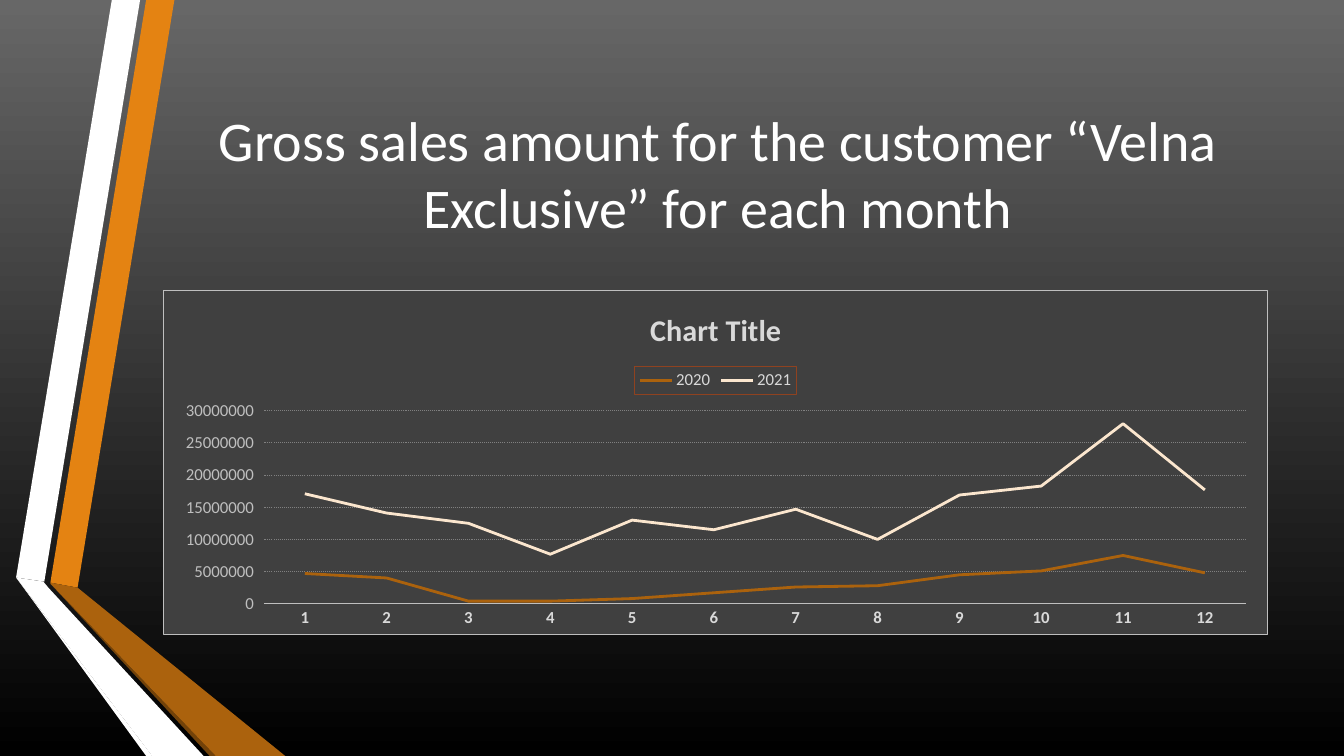
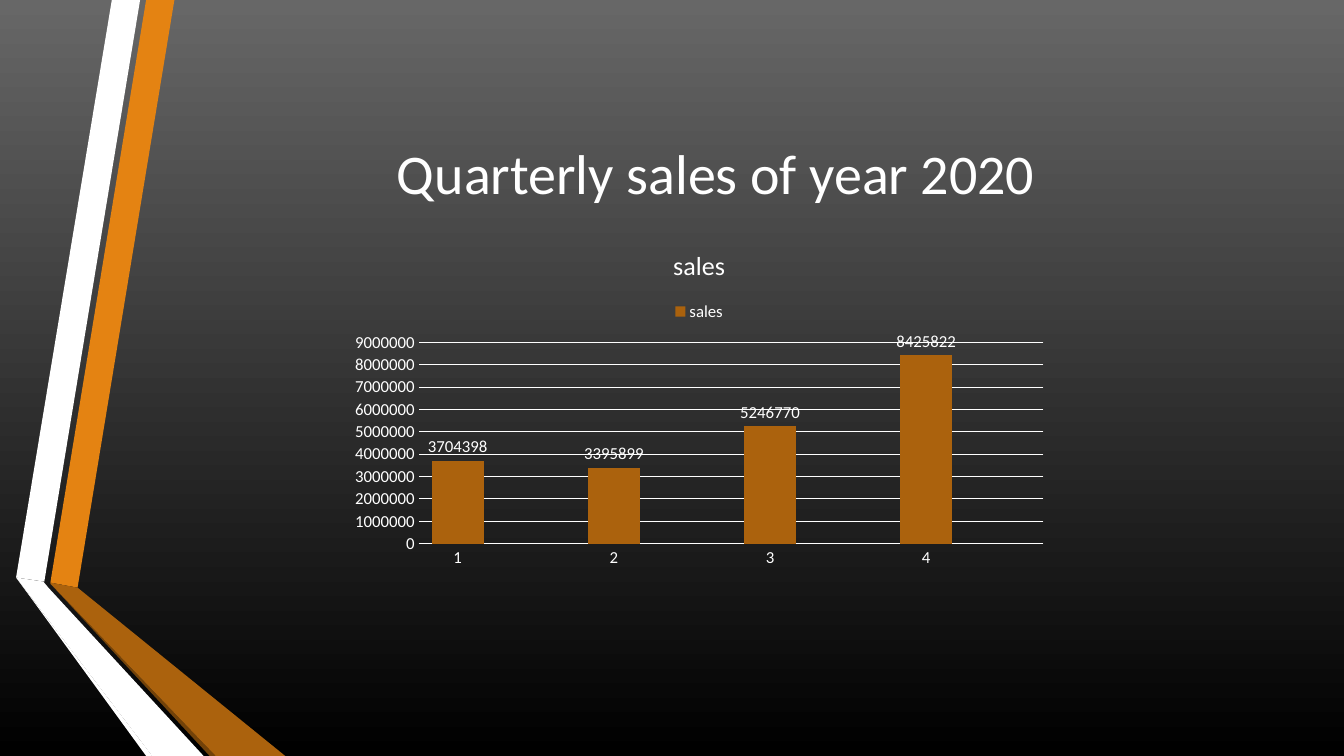
"""Build two sales slides with shared bands, titles and chart styling."""
import pptx
import pptx.chart.data
import pptx.dml.color
import pptx.enum.chart
import pptx.enum.dml
import pptx.enum.text
import pptx.oxml
import pptx.oxml.ns
import pptx.util

Inches, Pt = pptx.util.Inches, pptx.util.Pt
qn = pptx.oxml.ns.qn
KIND = pptx.enum.chart.XL_CHART_TYPE
TICK = pptx.enum.chart.XL_TICK_MARK
FACE = "Calibri"
HUES = {
    "top": "676767", "base": "000000", "white": "FFFFFF",
    "orange": "E48312", "rust": "AB620D", "dark": "724209",
    "cream": "FBE6CE", "panel": "404040", "edge": "BFBFBF",
    "pale": "D9D9D9", "grid": "808080", "brick": "8F4220",
}
BANDS = [
    ("orange", [(0.5, 5.78), (0.77, 5.83), (1.73, 0), (1.45, 0)]),
    ("white", [(1.39, 0), (1.11, 0), (0.16, 5.73), (0.44, 5.77)]),
    ("white", [(0.16, 5.73), (1.45, 7.5), (1.51, 7.5)]),
    ("dark", [(0.5, 5.79), (2.08, 7.5), (2.14, 7.5)]),
    ("rust", [(0.5, 5.79), (2.14, 7.5), (2.83, 7.5), (0.77, 5.83), (0.5, 5.78)]),
    ("white", [(2.02, 7.5), (0.48, 5.83), (0.43, 5.77), (0.16, 5.73), (1.51, 7.5)]),
]
SLIDES = [
    {
        "title": "Gross sales amount for the customer “Velna Exclusive” for each month",
        "left": 1.64, "kind": KIND.LINE_STACKED, "at": (1.62, 2.88, 10.96, 3.42),
        "cats": [str(month) for month in range(1, 13)],
        "rows": [
            ("2020", "rust", [4700000, 4000000, 400000, 400000, 800000, 1700000,
                              2600000, 2800000, 4500000, 5100000, 7500000, 4800000]),
            ("2021", "cream", [12400000, 10100000, 12100000, 7300000, 12200000, 9800000,
                               12100000, 7200000, 12400000, 13200000, 20500000, 12900000]),
        ],
        "head": ("Chart Title", 21.6, True, "pale"),
        "scale": (30000000, 5000000), "tick": TICK.OUTSIDE,
        "cat": ("pale", True, "edge"), "val": "edge", "key": "pale",
        "grid": ("grid", pptx.enum.dml.MSO_LINE.ROUND_DOT),
        "panel": ("panel", "edge"), "frame": (None, "brick"),
    },
    {
        "title": "Quarterly sales of year 2020",
        "left": 1.62, "kind": KIND.COLUMN_CLUSTERED, "at": (3.38, 2.28, 7.11, 3.42),
        "cats": ["1", "", "2", "", "3", "", "4", ""],
        "rows": [("sales", "rust", [3704398, None, 3395899, None,
                                    5246770, None, 8425822, None])],
        "head": ("sales", 18.6, False, "white"),
        "scale": (9000000, 1000000), "tick": TICK.NONE,
        "cat": ("white", False, "white"), "val": "white", "key": "white",
        "grid": ("white", pptx.enum.dml.MSO_LINE.SOLID),
        "panel": (None, None), "frame": (None, None),
    },
]


def tint(name):
    return pptx.dml.color.RGBColor.from_string(HUES[name])


def put(thing, **vals):
    for key, val in vals.items():
        setattr(thing, key, val)


def type_set(font, size, hue, bold=False):
    put(font, name=FACE, size=Pt(size), bold=bold)
    font.color.rgb = tint(hue)


def stroke(line, hue, width=0.75):
    line.color.rgb = tint(hue)
    line.width = Pt(width)


def box(node, fill, edge):
    def paint(name):
        if name is None:
            return "<a:noFill/>"
        return f'<a:solidFill><a:srgbClr val="{HUES[name]}"/></a:solidFill>'
    names = pptx.oxml.ns.nsdecls("c", "a")
    part = pptx.oxml.parse_xml(
        f'<c:spPr {names}>{paint(fill)}<a:ln w="9525">{paint(edge)}</a:ln></c:spPr>')
    node.find(qn("c:txPr")).addprevious(part)


def add_bands(slide, layout):
    for rank, (hue, points) in enumerate(BANDS):
        spots = [(Inches(x), Inches(y)) for x, y in points]
        pen = slide.shapes.build_freeform(*spots[0])
        pen.add_line_segments(spots[1:], close=True)
        band = pen.convert_to_shape()
        band.shadow.inherit = False
        band.fill.solid()
        band.fill.fore_color.rgb = tint(hue)
        band.line.fill.background()
        band.element.nvSpPr.cNvPr.set("id", str(20 + rank))
        layout.shapes.element.insert(2 + rank, band.element)


def add_title(slide, item):
    title = slide.shapes.title
    put(title, left=Inches(item["left"]), top=Inches(0.75),
        width=Inches(10.96), height=Inches(1.92))
    frame = title.text_frame
    put(frame, text=item["title"], word_wrap=True,
        auto_size=pptx.enum.text.MSO_AUTO_SIZE.NONE,
        vertical_anchor=pptx.enum.text.MSO_ANCHOR.MIDDLE)
    line = frame.paragraphs[0]
    line.alignment = pptx.enum.text.PP_ALIGN.CENTER
    type_set(line.runs[0].font, 40, "white")


def style_axes(chart, item):
    hue, bold, edge = item["cat"]
    cat, val = chart.category_axis, chart.value_axis
    cat.major_tick_mark = TICK.NONE
    type_set(cat.tick_labels.font, 12, hue, bold)
    stroke(cat.format.line, edge)
    peak, step = item["scale"]
    put(val, minimum_scale=0, maximum_scale=peak, major_unit=step,
        major_tick_mark=item["tick"], has_major_gridlines=True)
    type_set(val.tick_labels.font, 12, item["val"])
    val.format.line.fill.background()
    grid = val.major_gridlines.format.line
    hue, dash = item["grid"]
    stroke(grid, hue)
    grid.dash_style = dash


def style_rows(plot, item):
    plot.vary_by_categories = False
    bars = item["kind"] == KIND.COLUMN_CLUSTERED
    for row, (name, hue, vals) in zip(plot.series, item["rows"]):
        if bars:
            row.format.fill.solid()
            row.format.fill.fore_color.rgb = tint(hue)
        else:
            row.smooth = False
            row.marker.style = pptx.enum.chart.XL_MARKER_STYLE.NONE
            stroke(row.format.line, hue, 2)
    if bars:
        put(plot, gap_width=50, has_data_labels=True)
        marks = plot.data_labels
        put(marks, show_value=True,
            position=pptx.enum.chart.XL_LABEL_POSITION.OUTSIDE_END)
        type_set(marks.font, 12, "white")


def add_chart(slide, item):
    data = pptx.chart.data.CategoryChartData()
    data.categories = item["cats"]
    for name, hue, vals in item["rows"]:
        data.add_series(name, vals)
    spot = [Inches(side) for side in item["at"]]
    chart = slide.shapes.add_chart(item["kind"], *spot, data).chart
    type_set(chart.font, 10, "white")
    put(chart, has_title=True, has_legend=True)
    text, size, bold, hue = item["head"]
    frame = chart.chart_title.text_frame
    frame.text = text
    type_set(frame.paragraphs[0].runs[0].font, size, hue, bold)
    put(chart.legend, include_in_layout=False,
        position=pptx.enum.chart.XL_LEGEND_POSITION.TOP)
    type_set(chart.legend.font, 12, item["key"])
    style_axes(chart, item)
    style_rows(chart.plots[0], item)
    box(chart.element, *item["panel"])
    box(chart.element.find(".//" + qn("c:legend")), *item["frame"])


def main():
    deck = pptx.Presentation()
    put(deck, slide_width=Inches(13.33), slide_height=Inches(7.5))
    layout = deck.slide_layouts[5]
    fill = layout.background.fill
    fill.gradient()
    fill.gradient_angle = 270
    for stop, hue in zip(fill.gradient_stops, ("top", "base")):
        stop.color.rgb = tint(hue)
    for item in SLIDES:
        slide = deck.slides.add_slide(layout)
        if len(deck.slides) == 1:
            add_bands(slide, layout)
        add_title(slide, item)
        add_chart(slide, item)
    deck.save("out.pptx")


main()
